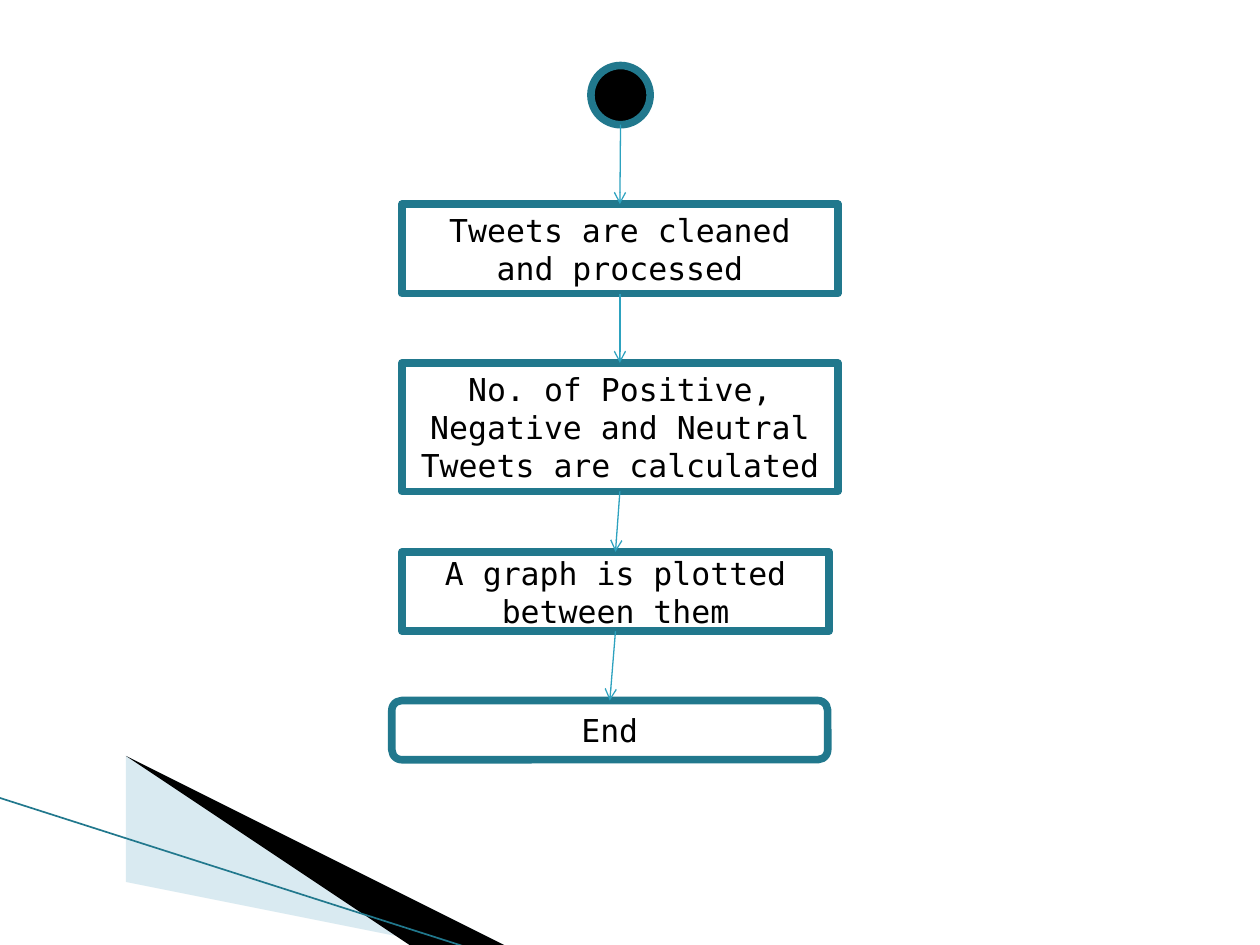
"""Builds a flowchart slide of tweet processing, from start to end."""
from itertools import pairwise

from lxml.etree import SubElement
from pptx import Presentation
from pptx.dml.color import RGBColor
from pptx.enum.shapes import MSO_CONNECTOR, MSO_SHAPE
from pptx.enum.text import MSO_ANCHOR, PP_ALIGN
from pptx.oxml.ns import qn
from pptx.util import Inches, Pt

BLACK = RGBColor(0x00, 0x00, 0x00)
WHITE = RGBColor(0xFF, 0xFF, 0xFF)
DARK_TEAL = RGBColor(0x21, 0x78, 0x8D)
TEAL = RGBColor(0x2D, 0xA2, 0xBF)
PALE_BLUE = RGBColor(0xA0, 0xCB, 0xDC)
FONT = "DejaVu Sans Mono"

OVAL, BOX, ROUNDED = MSO_SHAPE.OVAL, MSO_SHAPE.RECTANGLE, MSO_SHAPE.ROUNDED_RECTANGLE
STEPS = [
    (OVAL, "", BLACK, (4.69, 0.52, 0.47, 0.47)),
    (BOX, "Tweets are cleaned and processed", WHITE, (3.19, 1.62, 3.46, 0.71)),
    (BOX, "No. of Positive, Negative and Neutral Tweets are calculated", WHITE,
     (3.19, 2.88, 3.46, 1.02)),
    (BOX, "A graph is plotted between them", WHITE, (3.19, 4.38, 3.39, 0.63)),
    (ROUNDED, "End", WHITE, (3.11, 5.56, 3.46, 0.47)),
]
WEDGES = [
    (PALE_BLUE, 40, [(0.55, 6.51), (5.95, 7.51), (4.56, 7.51), (0.55, 6.5)]),
    (BLACK, 100, [(0.53, 6.49), (4.57, 7.51), (3.72, 7.52), (0.54, 6.5)]),
]
EDGE = [(-0.01, 6.33), (3.71, 7.52)]


def add_wedge(slide, color, opacity, points):
    builder = slide.shapes.build_freeform(*points[0], scale=Inches(1))
    builder.add_line_segments(points[1:], close=True)
    shape = builder.convert_to_shape()
    shape.shadow.inherit = False
    shape.fill.solid()
    shape.fill.fore_color.rgb = color
    shape.line.fill.background()
    if opacity < 100:
        color_element = shape._element.spPr.find(f".//{qn('a:srgbClr')}")
        SubElement(color_element, qn("a:alpha"), val=str(opacity * 1000))


def add_line(slide, start, end, color, width):
    points = [Inches(value) for value in (*start, *end)]
    connector = slide.shapes.add_connector(MSO_CONNECTOR.STRAIGHT, *points)
    connector.line.color.rgb = color
    connector.line.width = Pt(width)
    SubElement(connector._element.spPr, qn("a:effectLst"))
    return connector


def add_step(slide, kind, text, fill, bounds):
    shape = slide.shapes.add_shape(kind, *[Inches(value) for value in bounds])
    shape.shadow.inherit = False
    shape.fill.solid()
    shape.fill.fore_color.rgb = fill
    shape.line.color.rgb = DARK_TEAL
    shape.line.width = Pt(4.33)
    if text:
        text_frame = shape.text_frame
        text_frame.text = text
        text_frame.word_wrap = True
        text_frame.vertical_anchor = MSO_ANCHOR.MIDDLE
        paragraph = text_frame.paragraphs[0]
        paragraph.alignment = PP_ALIGN.CENTER
        font = paragraph.runs[0].font
        font.name, font.size, font.color.rgb = FONT, Pt(18), BLACK
    return shape


def add_arrow(slide, upper, lower):
    (upper_kind, *_, (left, top, width, height)), upper_shape = upper
    (*_, (next_left, next_top, next_width, _)), lower_shape = lower
    start = (left + width / 2, top + height)
    end = (next_left + next_width / 2, next_top)
    connector = add_line(slide, start, end, TEAL, 0.75)
    bottom_site = 4 if upper_kind == OVAL else 2
    if bottom_site == 2:
        connector.begin_connect(upper_shape, bottom_site)
    else:
        connection = connector._element.nvCxnSpPr.cNvCxnSpPr._add_stCxn()
        connection.id, connection.idx = upper_shape.shape_id, bottom_site
    connector.end_connect(lower_shape, 0)
    SubElement(connector.line._get_or_add_ln(), qn("a:tailEnd"), type="arrow")


def main():
    presentation = Presentation()
    presentation.slide_width, presentation.slide_height = Inches(10), Inches(7.5)
    slide = presentation.slides.add_slide(presentation.slide_layouts[6])
    for wedge in WEDGES:
        add_wedge(slide, *wedge)
    add_line(slide, *EDGE, DARK_TEAL, 0.95)
    placed = [(step, add_step(slide, *step)) for step in STEPS]
    for upper, lower in pairwise(placed):
        add_arrow(slide, upper, lower)
    presentation.save("out.pptx")


if __name__ == "__main__":
    main()
